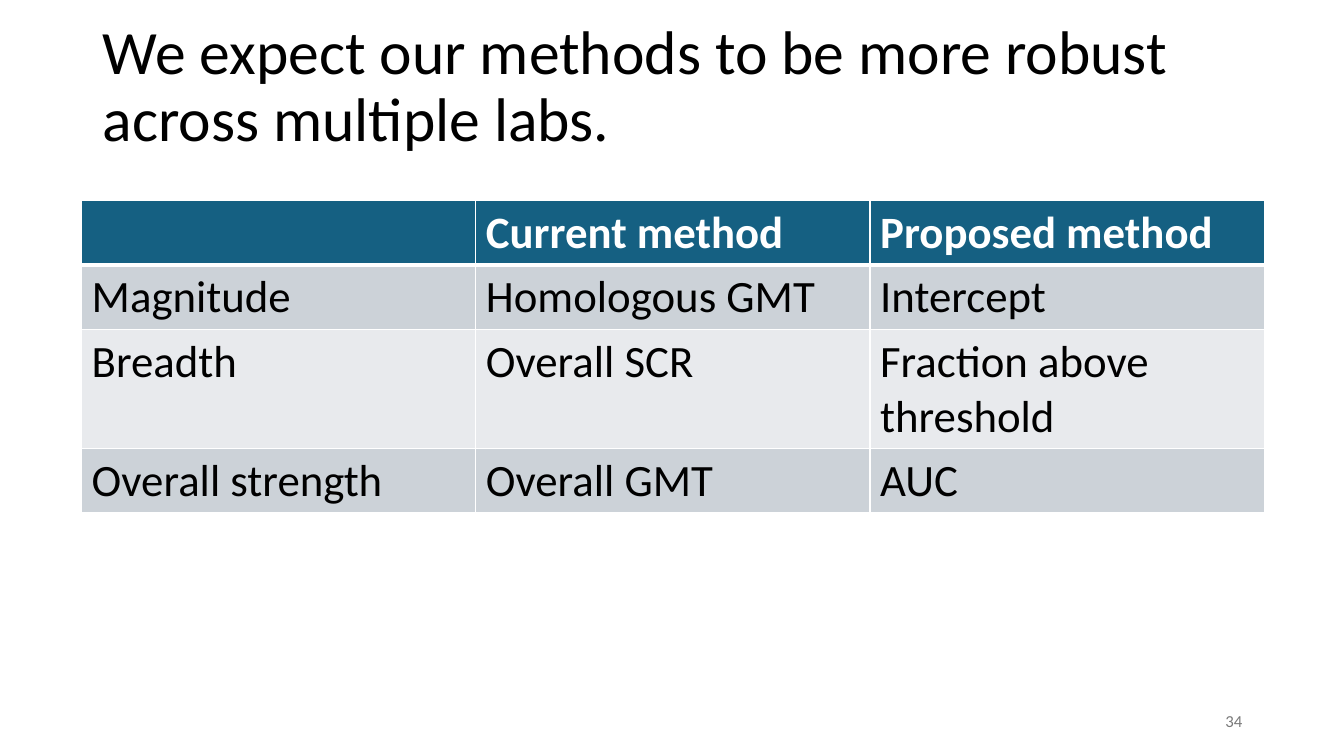
from lxml.etree import SubElement
from pptx import Presentation
from pptx.dml.color import RGBColor
from pptx.enum.text import MSO_ANCHOR, PP_ALIGN
from pptx.oxml.ns import qn
from pptx.util import Inches, Pt

COLORS = {
    "text": "000000",
    "white": "FFFFFF",
    "number": "797979",
    "header": "156082",
    "dark_band": "CCD2D8",
    "light_band": "E8EAED",
}


def add_run(paragraph, text, size, color, bold=False):
    run = paragraph.add_run()
    run.text = text
    run.font.name = "Calibri"
    run.font.size = Pt(size)
    run.font.bold = bold
    run.font.color.rgb = RGBColor.from_string(COLORS[color])


def add_text(slide, left, top, width, height):
    frame = slide.shapes.add_textbox(
        Inches(left), Inches(top), Inches(width), Inches(height)
    ).text_frame
    frame.word_wrap = True
    frame.vertical_anchor = MSO_ANCHOR.MIDDLE
    return frame.paragraphs[0]


presentation = Presentation()
presentation.slide_width = Inches(13.33)
presentation.slide_height = Inches(7.5)
slide = presentation.slides.add_slide(presentation.slide_layouts[6])

# Title
title = add_text(slide, 0.92, 0.15, 11.5, 1.45)
title.line_spacing = 0.9
add_run(title, "We expect our methods to be more robust across multiple labs.", 44, "text")

# Slide number
number = add_text(slide, 9.42, 6.95, 3, 0.4)
number.alignment = PP_ALIGN.RIGHT
add_run(number, "34", 12, "number")

# Method comparison table
rows = [
    ["", "Current method", "Proposed method"],
    ["Magnitude", "Homologous GMT", "Intercept"],
    ["Breadth", "Overall SCR", "Fraction above threshold"],
    ["Overall strength", "Overall GMT", "AUC"],
]
row_heights = [0.64, 0.64, 1.18, 0.64]
row_fills = ["header", "dark_band", "light_band", "dark_band"]

table = slide.shapes.add_table(
    len(rows), len(rows[0]), Inches(0.81), Inches(1.99), Inches(11.72), Inches(sum(row_heights))
).table
for column in table.columns:
    column.width = Inches(3.91)

for row_index, texts in enumerate(rows):
    table.rows[row_index].height = Inches(row_heights[row_index])
    is_header = row_index == 0
    for column_index, text in enumerate(texts):
        cell = table.cell(row_index, column_index)
        if text:
            color = "white" if is_header else "text"
            add_run(cell.text_frame.paragraphs[0], text, 32, color, is_header)

        # White borders, with a thick rule under the header; they precede the fill in the XML
        properties = cell._tc.get_or_add_tcPr()
        for side in ("lnL", "lnR", "lnT", "lnB"):
            thick = (row_index, side) in [(0, "lnB"), (1, "lnT")]
            line = SubElement(properties, qn(f"a:{side}"), w=str(Pt(3 if thick else 1)))
            line_fill = SubElement(line, qn("a:solidFill"))
            SubElement(line_fill, qn("a:srgbClr"), val=COLORS["white"])
        cell.fill.solid()
        cell.fill.fore_color.rgb = RGBColor.from_string(COLORS[row_fills[row_index]])

presentation.save("out.pptx")
